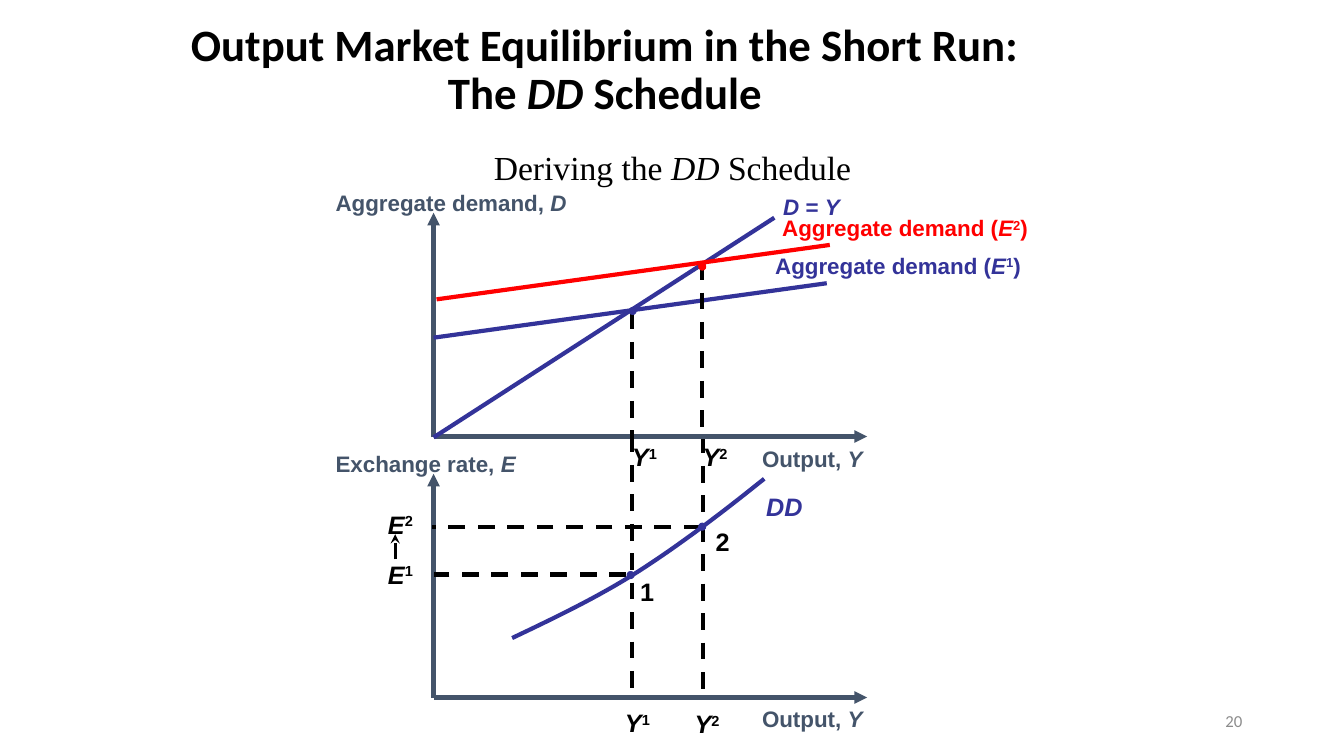
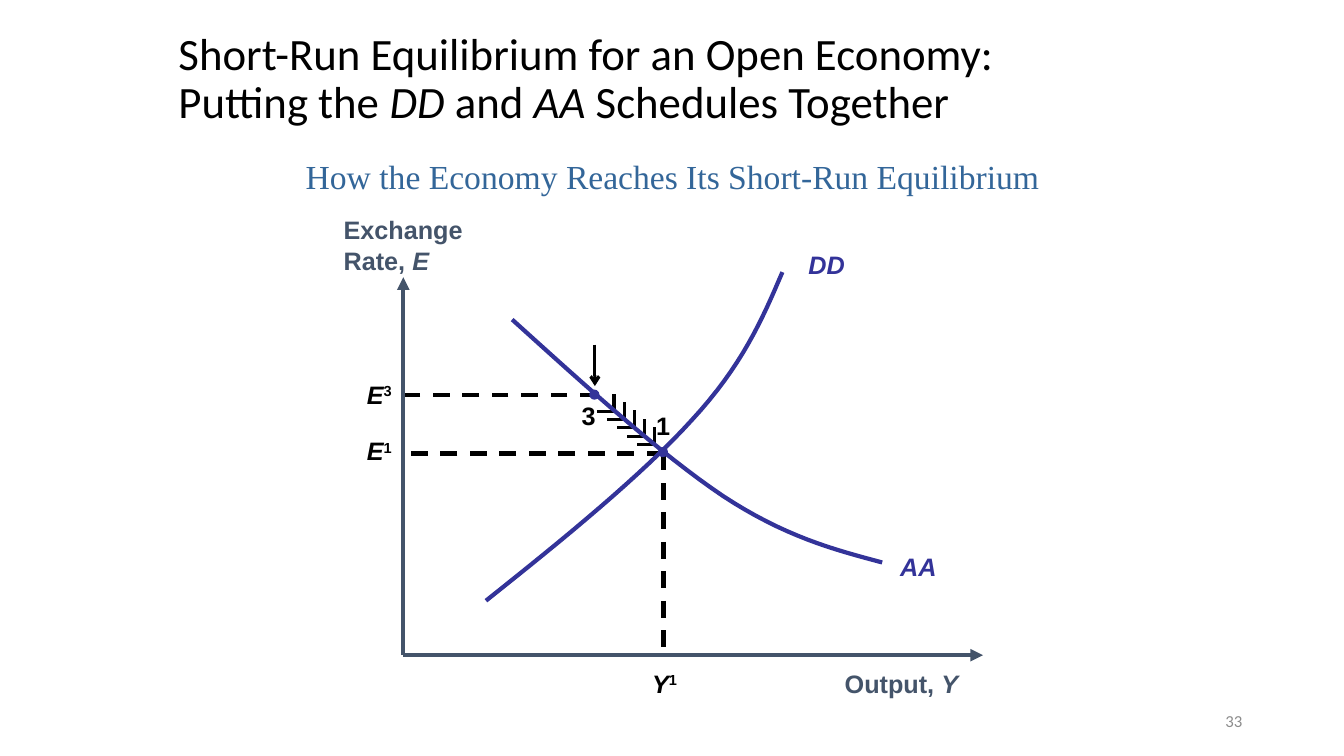
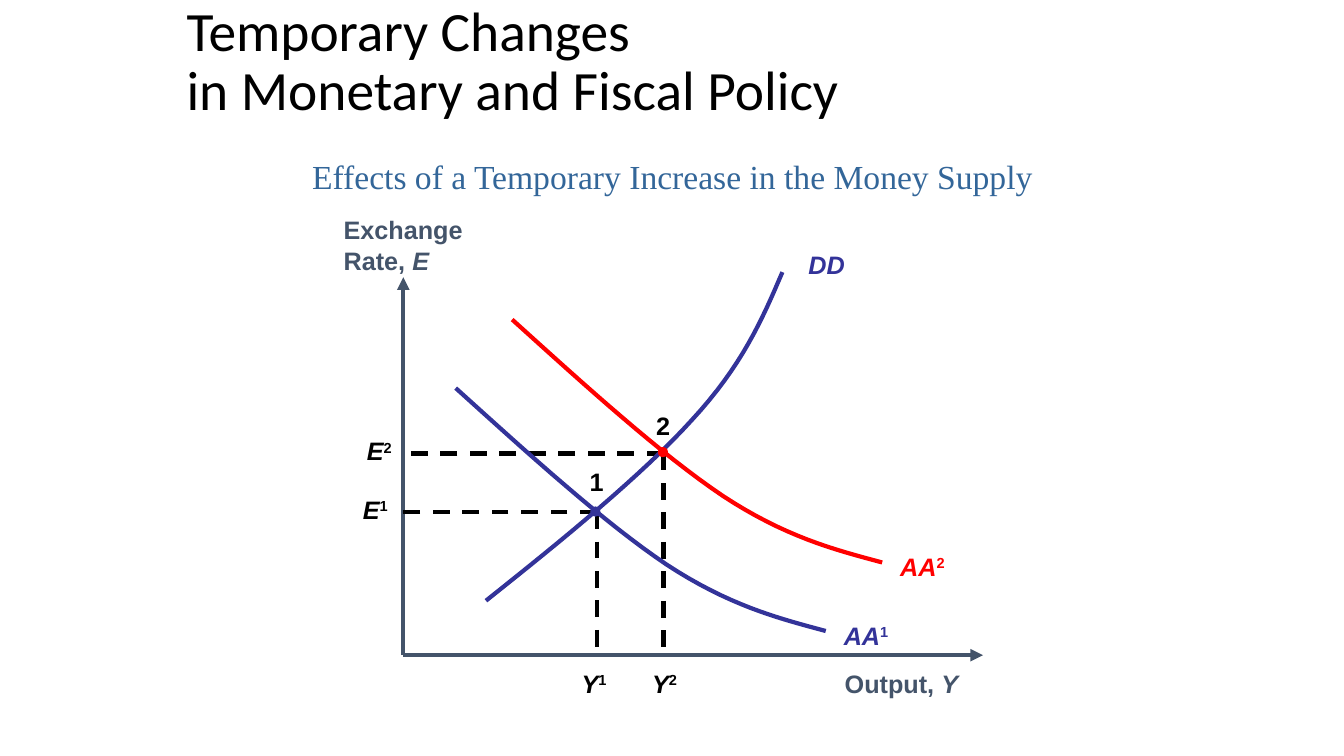
"""Builds three slides of exchange rate and output charts."""
from lxml import etree
from pptx import Presentation
from pptx.dml.color import RGBColor
from pptx.enum.dml import MSO_LINE
from pptx.enum.shapes import MSO_CONNECTOR, MSO_SHAPE
from pptx.enum.text import MSO_ANCHOR, MSO_AUTO_SIZE, PP_ALIGN
from pptx.oxml.ns import qn
from pptx.util import Pt

PX = 9144
STEPS = 16
DASH = MSO_LINE.DASH
STRAIGHT = MSO_CONNECTOR.STRAIGHT
OVAL = MSO_SHAPE.OVAL
TOP, MIDDLE, BOTTOM = MSO_ANCHOR.TOP, MSO_ANCHOR.MIDDLE, MSO_ANCHOR.BOTTOM
LEFT, CENTER, RIGHT = PP_ALIGN.LEFT, PP_ALIGN.CENTER, PP_ALIGN.RIGHT
FIXED = MSO_AUTO_SIZE.NONE


class Theme:
    black = RGBColor.from_string("000000")
    slate = RGBColor.from_string("44546A")
    blue = RGBColor.from_string("333399")
    red = RGBColor.from_string("FF0000")
    steel = RGBColor.from_string("336699")
    grey = RGBColor.from_string("8C8C8C")
    label, small, head, lead, foot = 18, 16, 32, 24, 12
    large = 39.6
    sans, serif, plain = "Arial", "Times New Roman", "Calibri"
    strokes = {
        "axis": (slate, 3, None, "triangle"),
        "guide": (black, 3, DASH, None),
        "blue": (blue, 3, None, None),
        "red": (red, 3, None, None),
        "tick": (black, 2.25, None, None),
        "arrow": (black, 2.25, None, "arrow"),
        "stealth": (black, 2.25, None, "stealth"),
    }


def write(box, text, size=Theme.label, color=Theme.black, font=Theme.sans,
          bold=False, align=LEFT, anchor=TOP, wrap=True, leading=1.0):
    """Fills a box; _x_ marks italics and ^x^ a superscript."""
    frame = box.text_frame
    frame.word_wrap = wrap
    frame.auto_size = FIXED
    frame.vertical_anchor = anchor
    for row, line in enumerate(text.split("\n")):
        para = frame.add_paragraph() if row else frame.paragraphs[0]
        para.alignment = align
        para.line_spacing = leading
        para.space_before = Pt(0)
        for i, part in enumerate(line.split("_")):
            for j, piece in enumerate(part.split("^")):
                if not piece:
                    continue
                run = para.add_run()
                run.text = piece
                run.font.size = Pt(size)
                run.font.name = font
                run.font.bold = bold
                run.font.italic = i % 2 == 1
                run.font.color.rgb = color
                if j % 2:
                    run._r.get_or_add_rPr().set("baseline", "30000")


def shift(points, dx, dy):
    """Moves each point by the same step."""
    return [(x + dx, y + dy) for x, y in points]


blue, red, black, slate = Theme.blue, Theme.red, Theme.black, Theme.slate
label, small = Theme.label, Theme.small

rise = [(482, 596), (560, 534), (637, 471), (686, 417),
        (736, 363), (756, 317), (776, 270)]
fall = [(508, 317), (582, 384), (656, 451), (717, 492),
        (778, 532), (826, 545), (875, 558)]
climb = [(508, 633), (550, 613), (592, 593), (633, 567),
         (675, 540), (717, 508), (758, 475)]

axes = [(400, 650, 400, 275, "axis"), (400, 650, 975, 650, "axis")]
names = [("Exchange\nRate, _E_", 331, 208, 138, label, slate),
         ("Output, _Y_", 828, 658, 134, label, slate),
         ("_DD_", 792, 242, 56, label, blue)]
cross = [(658, 450, 400, 450, "guide"), (658, 450, 658, 650, "guide")]

steps = []
for i in range(5):
    x, y = 592 + 10 * i, 408 + 25 * i // 3
    steps += [(x, y, x + 17, y, "tick"), (x + 17, y, x + 17, y - 17, "tick")]

pages = [
    dict(
        title="Output Market Equilibrium in the Short Run: The _DD_ Schedule",
        spot=(175, 8, 850, 125), size=Theme.head, bold=True, align=CENTER,
        lead="Deriving the _DD_ Schedule", tint=black, drop=133, number="20",
        lines=[
            (697, 433, 697, 693, "guide"),
            (430, 434, 430, 211, "axis"), (430, 433, 860, 433, "axis"),
            (430, 434, 768, 216, "blue"), (627, 310, 627, 434, "guide"),
            (433, 297, 823, 243, "red"), (430, 335, 820, 281, "blue"),
            (696, 261, 696, 434, "guide"),
            (430, 692, 430, 470, "axis"), (430, 692, 860, 692, "axis"),
            (627, 432, 627, 692, "guide"), (621, 570, 430, 570, "guide"),
            (695, 523, 428, 523, "guide"), (392, 555, 392, 530, "stealth")],
        curves=[(climb, blue)],
        span=7,
        dots=[(624, 305, blue), (693, 261, red),
              (622, 567, blue), (693, 519, blue)],
        labels=[
            ("Aggregate demand, _D_", 323, 183, 283, small, slate),
            ("Exchange rate, _E_", 323, 442, 283, small, slate),
            ("Output, _Y_", 746, 437, 120, small, slate),
            ("Output, _Y_", 746, 695, 120, small, slate),
            ("_D_ = _Y_", 767, 187, 76, small, blue),
            ("Aggregate demand (_E_^2^)", 766, 208, 266, small, red),
            ("Aggregate demand (_E_^1^)", 759, 245, 266, small, blue),
            ("_DD_", 750, 483, 56, label, blue),
            ("_Y_^1^", 617, 433, 46, label, black),
            ("_Y_^2^", 687, 433, 46, label, black),
            ("_Y_^1^", 610, 697, 46, label, black),
            ("_Y_^2^", 679, 698, 46, label, black),
            ("_E_^1^", 375, 550, 46, label, black),
            ("_E_^2^", 375, 500, 46, label, black),
            ("1", 625, 567, 34, label, black),
            ("2", 700, 517, 34, label, black)]),
    dict(
        title="Short-Run Equilibrium for an Open Economy: "
              "Putting the _DD_ and _AA_ Schedules Together",
        spot=(167, 17, 858, 125), size=Theme.head, bold=False, align=LEFT,
        lead="How the Economy Reaches Its Short-Run Equilibrium",
        tint=Theme.steel, drop=142, number="33",
        lines=steps + cross + [(592, 392, 400, 392, "guide"),
                               (590, 342, 590, 383, "arrow")] + axes,
        curves=[(fall, blue), (rise, blue)],
        span=9,
        dots=[(653, 444, blue), (585, 387, blue)],
        labels=names + [
            ("_AA_", 883, 542, 56, label, blue),
            ("_Y_^1^", 637, 658, 46, label, black),
            ("_E_^1^", 354, 427, 46, label, black),
            ("_E_^3^", 354, 371, 46, label, black),
            ("1", 641, 402, 34, label, black),
            ("3", 567, 392, 34, label, black)]),
    dict(
        title="Temporary Changes\nin Monetary and Fiscal Policy",
        spot=(175, 0, 850, 125), size=Theme.large, bold=False, align=LEFT,
        lead="Effects of a Temporary Increase in the Money Supply",
        tint=Theme.steel, drop=142, number="",
        lines=axes + cross + [(592, 508, 400, 508, "guide"),
                              (592, 508, 592, 650, "guide")],
        curves=[(rise, blue), (fall, red), (shift(fall, -56, 68), blue)],
        span=9,
        dots=[(653, 444, red), (586, 503, blue)],
        labels=names + [
            ("_AA_^2^", 883, 542, 65, label, red),
            ("_AA_^1^", 827, 610, 65, label, blue),
            ("_Y_^1^", 567, 658, 46, label, black),
            ("_Y_^2^", 637, 658, 46, label, black),
            ("_E_^1^", 350, 485, 46, label, black),
            ("_E_^2^", 354, 427, 46, label, black),
            ("1", 575, 458, 34, label, black),
            ("2", 641, 402, 34, label, black)]),
]

deck = Presentation()
deck.slide_width, deck.slide_height = 1333 * PX, 750 * PX
layout = deck.slide_layouts[5]

for page in pages:
    shapes = deck.slides.add_slide(layout).shapes
    title = shapes.title
    title.left, title.top, title.width, title.height = (
        n * PX for n in page["spot"])
    write(title, page["title"], size=page["size"], font=Theme.plain,
          bold=page["bold"], align=page["align"], anchor=MIDDLE, leading=0.9)
    lead = shapes.add_textbox(167 * PX, page["drop"] * PX, 1000 * PX, 58 * PX)
    write(lead, page["lead"], size=Theme.lead, color=page["tint"],
          font=Theme.serif, align=CENTER, anchor=BOTTOM)

    for *ends, kind in page["lines"]:
        color, width, dash, tip = Theme.strokes[kind]
        line = shapes.add_connector(STRAIGHT, *(n * PX for n in ends))
        line.line.color.rgb = color
        line.line.width = Pt(width)
        if dash:
            line.line.dash_style = dash
        if tip:
            etree.SubElement(line.get_or_add_ln(), qn("a:tailEnd"), type=tip)
        etree.SubElement(line._element.spPr, qn("a:effectLst"))

    for knots, color in page["curves"]:
        trace = []
        for first in range(0, len(knots) - 1, 3):
            for step in range(1, STEPS + 1):
                t = step / STEPS
                u = 1 - t
                parts = (u ** 3, 3 * u * u * t, 3 * u * t * t, t ** 3)
                trace.append(tuple(
                    PX * sum(w * knot[k] for w, knot in
                             zip(parts, knots[first:first + 4]))
                    for k in (0, 1)))
        x, y = knots[0]
        pen = shapes.build_freeform(x * PX, y * PX)
        pen.add_line_segments(trace, close=False)
        curve = pen.convert_to_shape()
        curve.shadow.inherit = False
        curve.fill.background()
        curve.line.color.rgb = color
        curve.line.width = Pt(3)

    for x, y, color in page["dots"]:
        span = page["span"] * PX
        dot = shapes.add_shape(OVAL, x * PX, y * PX, span, span)
        dot.shadow.inherit = False
        dot.fill.solid()
        dot.fill.fore_color.rgb = color
        dot.line.color.rgb = color
        dot.line.width = Pt(0.75)

    for text, x, y, width, size, color in page["labels"]:
        rows = text.count("\n")
        height = (40 if size == label else 37) + 30 * rows
        box = shapes.add_textbox(x * PX, y * PX, width * PX, height * PX)
        write(box, text, size=size, color=color, bold=True, wrap=False)

    if page["number"]:
        box = shapes.add_textbox(942 * PX, 695 * PX, 300 * PX, 40 * PX)
        write(box, page["number"], size=Theme.foot, color=Theme.grey,
              font=Theme.plain, align=RIGHT, anchor=MIDDLE)

deck.save("out.pptx")
